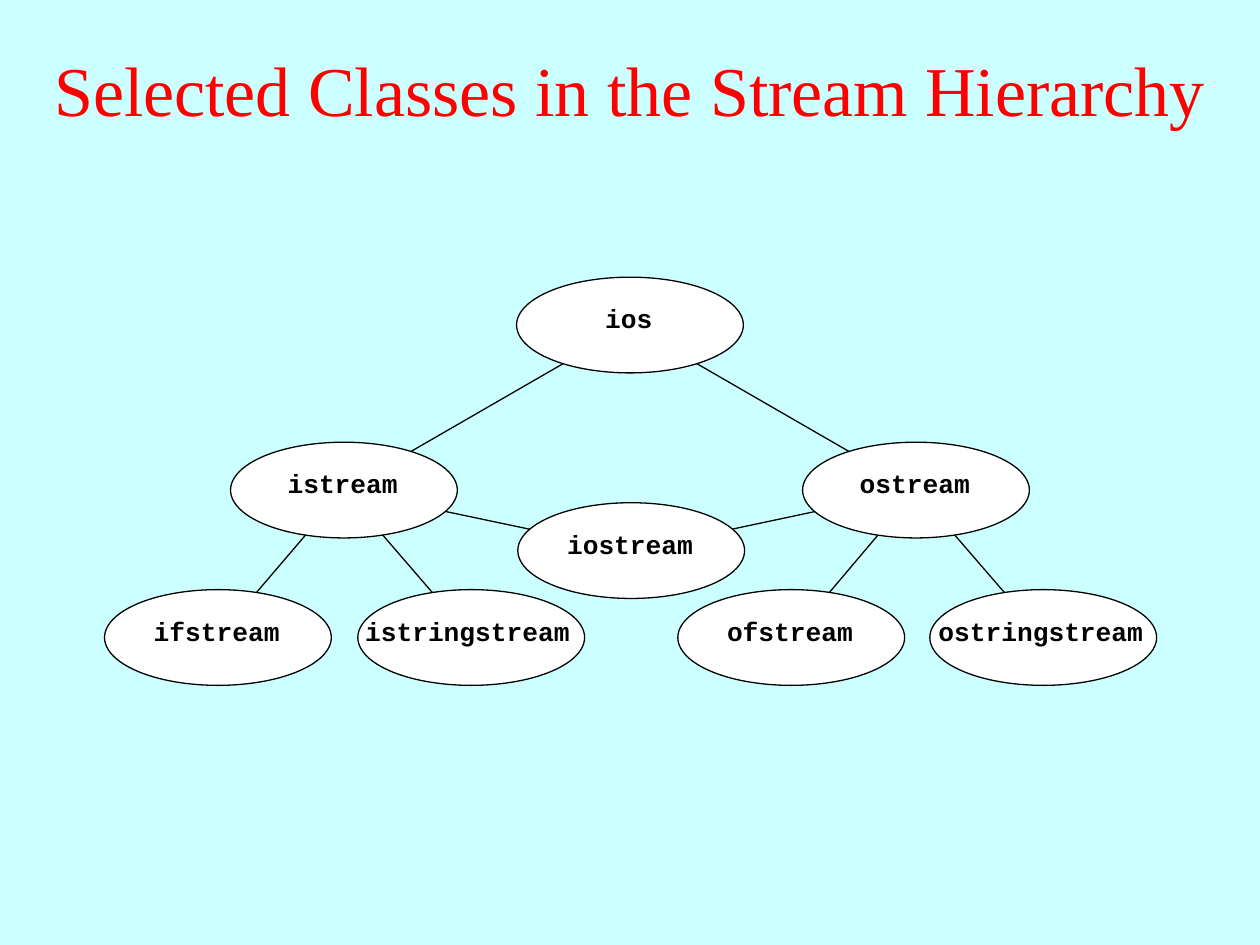
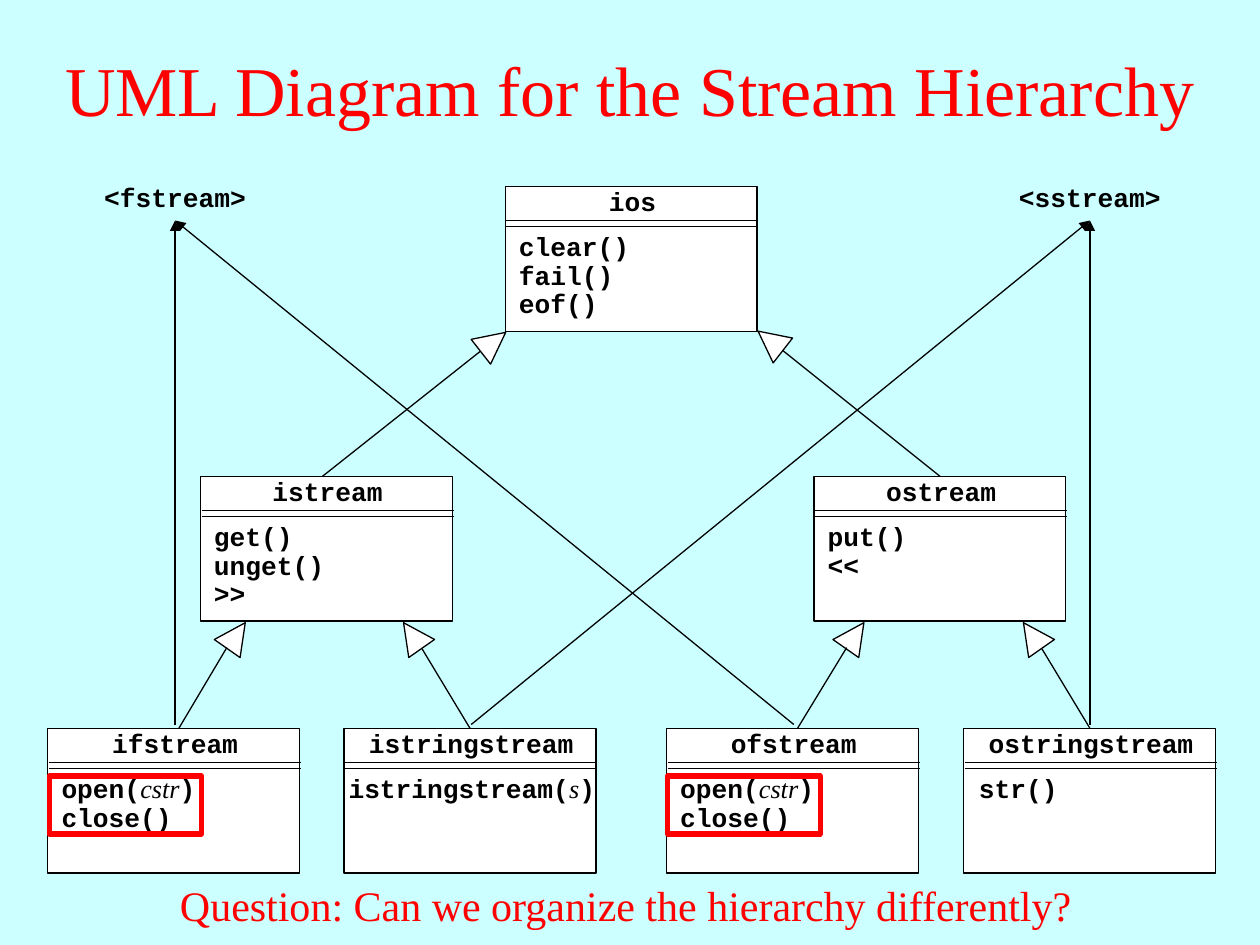
from dataclasses import dataclass

from lxml.etree import SubElement
from pptx import Presentation
from pptx.dml.color import RGBColor
from pptx.enum.shapes import MSO_CONNECTOR, MSO_SHAPE
from pptx.enum.text import MSO_ANCHOR, MSO_AUTO_SIZE, PP_ALIGN
from pptx.oxml.ns import qn
from pptx.shapes.autoshape import Shape
from pptx.shapes.connector import Connector
from pptx.slide import Slide
from pptx.util import Inches, Pt

Point = tuple[float, float]
Area = tuple[float, float, float, float]


@dataclass(frozen=True)
class Theme:
    background: RGBColor = RGBColor(0xCC, 0xFF, 0xFF)
    accent: RGBColor = RGBColor(0xFF, 0x00, 0x00)
    ink: RGBColor = RGBColor(0x00, 0x00, 0x00)
    paper: RGBColor = RGBColor(0xFF, 0xFF, 0xFF)
    serif: str = "Times New Roman"
    mono: str = "Courier New"
    title_size: float = 40
    question_size: float = 24
    code_size: float = 15
    thin: float = 0.5
    normal: float = 0.75
    thick: float = 3


THEME = Theme()


@dataclass(frozen=True)
class StreamNode:
    left: float
    top: float
    label_shift: float = -0.01
    width: float = 1.8
    height: float = 0.76

    @property
    def center(self) -> Point:
        return self.left + self.width / 2, self.top + self.height / 2


@dataclass(frozen=True)
class ClassBox:
    left: float
    top: float
    members: tuple[str, ...]
    members_shift: float = 0.01
    members_width: float = 2.0
    members_align: PP_ALIGN = PP_ALIGN.LEFT
    width: float = 2.0
    height: float = 1.15


@dataclass(frozen=True)
class Inheritance:
    child: str
    line_end: Point
    head: Point
    angle: float
    start_shift: float = 0


@dataclass(frozen=True)
class Header:
    text: str
    center: float
    users: tuple[float, float]


# Shared drawing functions
def add_text(slide: Slide, text: str, area: Area, *, font: str = THEME.mono,
             size: float = THEME.code_size, color: RGBColor = THEME.ink,
             bold: bool = True, align: PP_ALIGN = PP_ALIGN.CENTER,
             spacing: float = 0.9, wrap: bool = True, grow: bool = True,
             anchor: MSO_ANCHOR = MSO_ANCHOR.TOP) -> None:
    """Write one paragraph per line; words between asterisks are arguments."""
    frame = slide.shapes.add_textbox(*map(Inches, area)).text_frame
    frame.word_wrap = wrap
    frame.auto_size = MSO_AUTO_SIZE.SHAPE_TO_FIT_TEXT if grow else MSO_AUTO_SIZE.NONE
    frame.vertical_anchor = anchor
    for row, line in enumerate(text.split("\n")):
        paragraph = frame.add_paragraph() if row else frame.paragraphs[0]
        paragraph.alignment = align
        paragraph.line_spacing = spacing
        for part, words in enumerate(line.split("*")):
            argument = part % 2 == 1
            run = paragraph.add_run()
            run.text = words
            run.font.name = THEME.serif if argument else font
            run.font.size = Pt(size)
            run.font.color.rgb = color
            run.font.bold = bold and not argument
            run.font.italic = argument


def add_outline(slide: Slide, kind: MSO_SHAPE, area: Area, *,
                filled: bool = True, color: RGBColor = THEME.ink,
                weight: float = THEME.normal, angle: float = 0) -> Shape:
    shape = slide.shapes.add_shape(kind, *map(Inches, area))
    shape.shadow.inherit = False
    shape.rotation = angle
    if filled:
        shape.fill.solid()
        shape.fill.fore_color.rgb = THEME.paper
    else:
        shape.fill.background()
    shape.line.color.rgb = color
    shape.line.width = Pt(weight)
    return shape


def add_line(slide: Slide, start: Point, end: Point, *,
             weight: float = THEME.normal, arrow: bool = False) -> Connector:
    line = slide.shapes.add_connector(MSO_CONNECTOR.STRAIGHT,
                                      *map(Inches, (*start, *end)))
    line.line.color.rgb = THEME.ink
    line.line.width = Pt(weight)
    properties = line._element.spPr
    if arrow:
        SubElement(properties.find(qn("a:ln")), qn("a:tailEnd"), type="triangle")
    SubElement(properties, qn("a:effectLst"))
    return line


def add_titled_slide(deck: Presentation, title: str) -> Slide:
    slide = deck.slides.add_slide(deck.slide_layouts[6])
    add_text(slide, title, (0, 0.08, 10, 1.25), font=THEME.serif,
             size=THEME.title_size, color=THEME.accent, bold=False,
             spacing=1, grow=False, anchor=MSO_ANCHOR.MIDDLE)
    return slide


# Slide 1: class hierarchy
NODES = {
    "iostream": StreamNode(4.11, 3.99),
    "ios": StreamNode(4.1, 2.2),
    "istream": StreamNode(1.83, 3.51),
    "ostream": StreamNode(6.37, 3.51),
    "ifstream": StreamNode(0.83, 4.68),
    "istringstream": StreamNode(2.84, 4.68, label_shift=-0.03),
    "ofstream": StreamNode(5.38, 4.68),
    "ostringstream": StreamNode(7.38, 4.68, label_shift=-0.02),
}
DERIVED = {
    "ios": ("istream", "ostream"),
    "istream": ("iostream", "ifstream", "istringstream"),
    "ostream": ("iostream", "ofstream", "ostringstream"),
}


def build_hierarchy(deck: Presentation) -> None:
    slide = add_titled_slide(deck, "Selected Classes in the Stream Hierarchy")
    for base, children in DERIVED.items():
        for child in children:
            add_line(slide, NODES[base].center, NODES[child].center)
    label_width = 1.92
    for name, node in NODES.items():
        add_outline(slide, MSO_SHAPE.OVAL,
                    (node.left, node.top, node.width, node.height))
        label_left = node.center[0] - label_width / 2 + node.label_shift
        add_text(slide, name, (label_left, node.top + 0.18, label_width, 0.33))


# Slide 2: UML diagram
MIDDLE_ROW, BOTTOM_ROW = 3.78, 5.78
FILE_MEMBERS = ("open(*cstr*)", "close()")
CLASSES = {
    "ios": ClassBox(4.01, 1.48, ("clear()", "fail()", "eof()")),
    "istream": ClassBox(1.59, MIDDLE_ROW, ("get()", "unget()", ">>")),
    "ostream": ClassBox(6.46, MIDDLE_ROW, ("put()", "<<")),
    "ifstream": ClassBox(0.38, BOTTOM_ROW, FILE_MEMBERS),
    "istringstream": ClassBox(2.73, BOTTOM_ROW, ("istringstream(*s*)",),
                              -0.07, 2.17, PP_ALIGN.CENTER),
    "ofstream": ClassBox(5.29, BOTTOM_ROW, FILE_MEMBERS),
    "ostringstream": ClassBox(7.65, BOTTOM_ROW, ("str()",), 0.02, 1.92),
}
INHERITANCES = (
    Inheritance("ostream", (6.21, 2.78), (5.99, 2.58), 308),
    Inheritance("istream", (3.81, 2.79), (3.79, 2.59), 52, -0.03),
    Inheritance("istringstream", (3.35, 5.15), (3.15, 4.92), 325),
    Inheritance("ifstream", (1.8, 5.14), (1.75, 4.92), 35, 0.04),
    Inheritance("ostringstream", (8.27, 5.15), (8.07, 4.92), 325),
    Inheritance("ofstream", (6.72, 5.14), (6.66, 4.92), 35, 0.04),
)
HEADERS = (
    Header("<fstream>", 1.39, (1.39, 6.3)),
    Header("<sstream>", 8.65, (3.74, 8.65)),
)


def add_class(slide: Slide, name: str, box: ClassBox) -> Shape:
    frame = add_outline(slide, MSO_SHAPE.RECTANGLE,
                        (box.left, box.top, box.width, box.height))
    left = box.left + 0.01
    for drop in (0.27, 0.32):
        add_line(slide, (left, box.top + drop),
                 (left + box.width, box.top + drop), weight=THEME.thin)
    add_text(slide, name, (left, box.top - 0.03, box.width, 0.33))
    members_height = 0.1 + 0.23 * len(box.members)
    add_text(slide, "\n".join(box.members),
             (box.left + box.members_shift, box.top + 0.33,
              box.members_width, members_height), align=box.members_align)
    return frame


def add_inheritance(slide: Slide, link: Inheritance, child: Shape) -> None:
    box = CLASSES[link.child]
    start = (box.left + box.width / 2 + link.start_shift, box.top)
    add_outline(slide, MSO_SHAPE.ISOSCELES_TRIANGLE, (*link.head, 0.25, 0.25),
                angle=link.angle)
    line = add_line(slide, start, link.line_end)
    if not link.start_shift:
        line.begin_connect(child, 0)


def build_uml(deck: Presentation) -> None:
    slide = add_titled_slide(deck, "UML Diagram for the Stream Hierarchy")
    frames = {name: add_class(slide, name, box) for name, box in CLASSES.items()}
    for link in INHERITANCES:
        add_inheritance(slide, link, frames[link.child])

    # Members repeated in both file classes
    for name in ("ifstream", "ofstream"):
        box = CLASSES[name]
        add_outline(slide, MSO_SHAPE.RECTANGLE,
                    (box.left + 0.01, box.top + 0.38, 1.21, 0.46),
                    filled=False, color=THEME.accent, weight=THEME.thick)

    # Closing question
    add_text(slide, "Question: Can we organize the hierarchy differently?",
             (1.33, 6.93, 7.34, 0.5), font=THEME.serif,
             size=THEME.question_size, color=THEME.accent, bold=False,
             align=PP_ALIGN.LEFT, spacing=1, wrap=False)

    # Header files and the classes they declare
    for header in HEADERS:
        for user in header.users:
            add_line(slide, (user, 5.75), (header.center, 1.75), arrow=True)
        add_text(slide, header.text, (header.center - 0.67, 1.42, 1.34, 0.33),
                 wrap=False)


def main() -> None:
    deck = Presentation()
    deck.slide_width, deck.slide_height = Inches(10), Inches(7.5)
    backdrop = deck.slide_master.background.fill
    backdrop.solid()
    backdrop.fore_color.rgb = THEME.background
    build_hierarchy(deck)
    build_uml(deck)
    deck.save("out.pptx")


if __name__ == "__main__":
    main()
